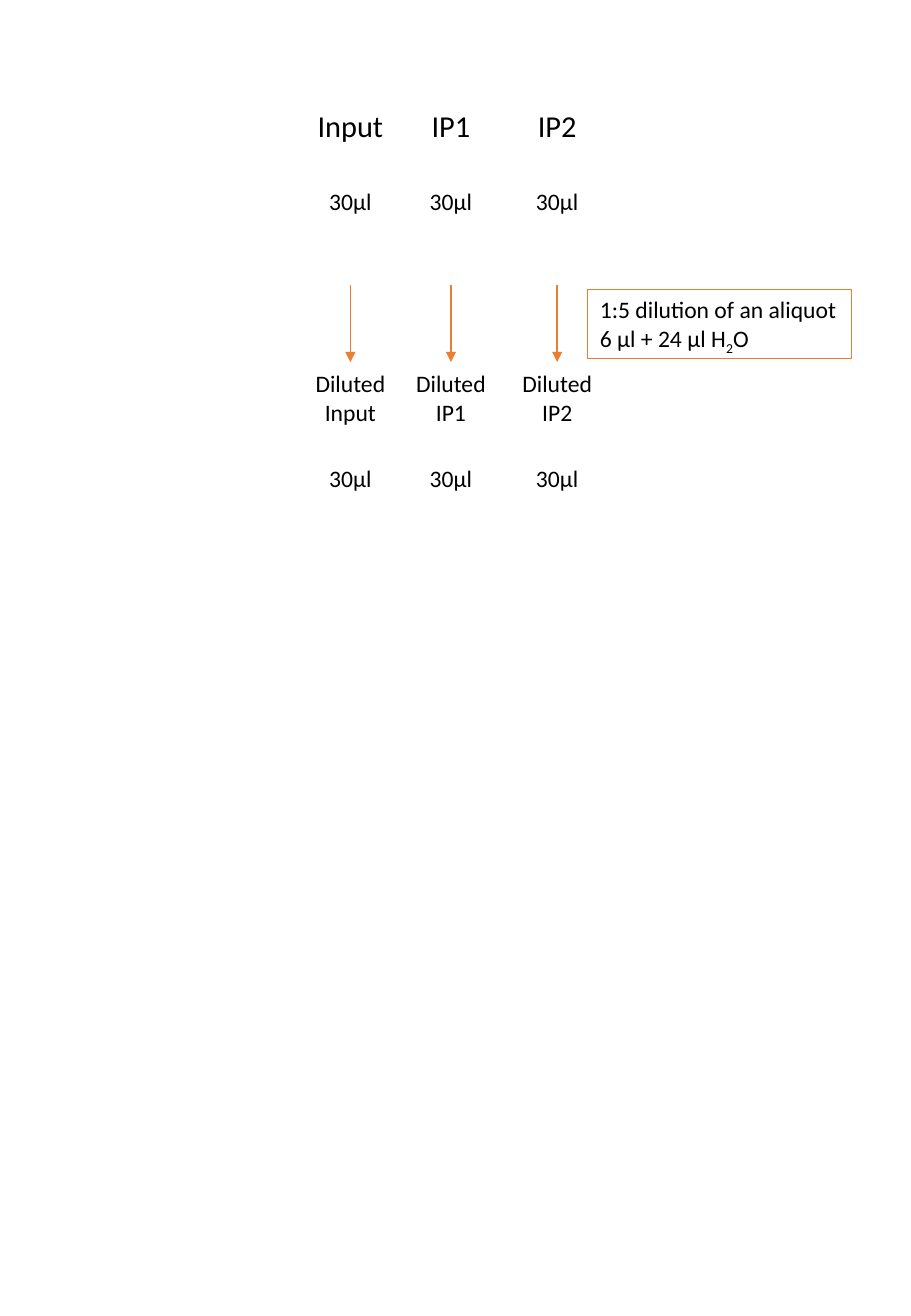
from lxml import etree
from pptx import Presentation
from pptx.dml.color import RGBColor
from pptx.enum.shapes import MSO_CONNECTOR, MSO_SHAPE
from pptx.enum.text import MSO_ANCHOR, MSO_AUTO_SIZE, PP_ALIGN
from pptx.oxml.ns import qn
from pptx.util import Pt

STRAIGHT = MSO_CONNECTOR.STRAIGHT
RECTANGLE = MSO_SHAPE.RECTANGLE
TOP = MSO_ANCHOR.TOP
FIT_SHAPE = MSO_AUTO_SIZE.SHAPE_TO_FIT_TEXT
LEFT, CENTER = PP_ALIGN.LEFT, PP_ALIGN.CENTER

BLACK = RGBColor(0x00, 0x00, 0x00)
ORANGE = RGBColor(0xED, 0x7D, 0x31)
FONT = "Calibri"

# Content: sample name and centre of its column
SAMPLES = [("Input", 207.7), ("IP1", 267.3), ("IP2", 330.3)]
VOLUME = "30µl"
# Text pattern, top, width, height, font size of each row
ROWS = [
    ("{name}", 59.8, 54, 29, 18),
    (VOLUME, 107.3, 40.3, 24.2, 14),
    ("Diluted\n{name}", 215.3, 56.2, 41.2, 14),
    (VOLUME, 271.4, 40.3, 24.2, 14),
]
ARROW_TOP, ARROW_BOTTOM = 169.2, 214.6
DILUTION_BOX = (348.5, 171.4, 156.2, 41.2)
DILUTION_TITLE = "1:5 dilution of an aliquot"
DILUTION_FORMULA = [("6 µl + 24 µl H", False), ("2", True), ("O", False)]


def format_text(shape, size, alignment):
    frame = shape.text_frame
    frame.word_wrap = False
    frame.auto_size = FIT_SHAPE
    frame.vertical_anchor = TOP
    for paragraph in frame.paragraphs:
        paragraph.alignment = alignment
        for run in paragraph.runs:
            run.font.name = FONT
            run.font.size = Pt(size)
            run.font.color.rgb = BLACK


def add_label(slide, text, center, top, width, height, size):
    label = slide.shapes.add_textbox(
        Pt(center - width / 2), Pt(top), Pt(width), Pt(height))
    label.text_frame.text = text
    format_text(label, size, CENTER)


def add_arrow(slide, center):
    arrow = slide.shapes.add_connector(
        STRAIGHT, Pt(center), Pt(ARROW_TOP), Pt(center), Pt(ARROW_BOTTOM))
    arrow.line.color.rgb = ORANGE
    arrow.line.width = Pt(1)
    line = arrow.line._get_or_add_ln()
    etree.SubElement(line, qn("a:tailEnd"), type="triangle")
    etree.SubElement(arrow._element.spPr, qn("a:effectLst"))


def add_dilution_box(slide):
    box = slide.shapes.add_shape(RECTANGLE, *map(Pt, DILUTION_BOX))
    box.shadow.inherit = False
    box.fill.background()
    box.line.color.rgb = ORANGE
    box.line.width = Pt(0.75)
    box.text_frame.text = DILUTION_TITLE
    formula = box.text_frame.add_paragraph()
    for text, is_subscript in DILUTION_FORMULA:
        run = formula.add_run()
        run.text = text
        if is_subscript:
            run.font._element.set("baseline", "-25000")
    format_text(box, 14, LEFT)


def main():
    presentation = Presentation()
    presentation.slide_width = Pt(540)
    presentation.slide_height = Pt(780)
    slide = presentation.slides.add_slide(presentation.slide_layouts[6])

    # Sample columns
    for name, center in SAMPLES:
        for pattern, *geometry in ROWS:
            add_label(slide, pattern.format(name=name), center, *geometry)
        add_arrow(slide, center)

    # Dilution note
    add_dilution_box(slide)
    presentation.save("out.pptx")


if __name__ == "__main__":
    main()
